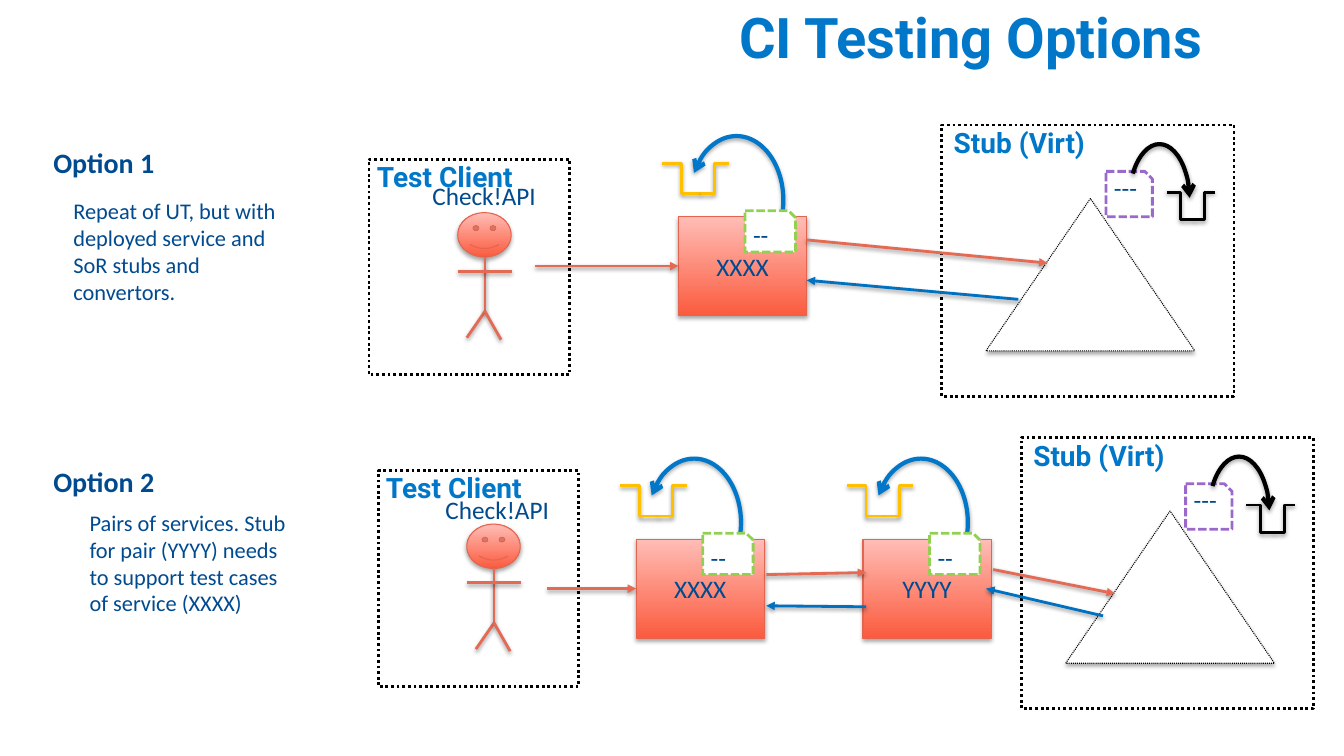
from lxml import etree
from pptx import Presentation
from pptx.dml.color import RGBColor
from pptx.enum.dml import MSO_LINE
from pptx.enum.shapes import MSO_CONNECTOR, MSO_SHAPE
from pptx.enum.text import MSO_ANCHOR, MSO_AUTO_SIZE, PP_ALIGN
from pptx.oxml.ns import qn
from pptx.util import Inches, Pt

STRAIGHT, ELBOW = MSO_CONNECTOR.STRAIGHT, MSO_CONNECTOR.ELBOW
RECTANGLE, TRIANGLE = MSO_SHAPE.RECTANGLE, MSO_SHAPE.ISOSCELES_TRIANGLE
SMILEY, SNIPPED, ARC = MSO_SHAPE.SMILEY_FACE, MSO_SHAPE.SNIP_1_RECTANGLE, MSO_SHAPE.ARC
DOTTED, DASHED = MSO_LINE.ROUND_DOT, MSO_LINE.SQUARE_DOT
LEFT, CENTER = PP_ALIGN.LEFT, PP_ALIGN.CENTER
TOP, MIDDLE = MSO_ANCHOR.TOP, MSO_ANCHOR.MIDDLE
NO_FIT, GROW = MSO_AUTO_SIZE.NONE, MSO_AUTO_SIZE.SHAPE_TO_FIT_TEXT
LEFT_SIDE = 1

BLACK, WHITE = "000000", "FFFFFF"
SKY, NAVY, BLUE = "0077C8", "004A8F", "0070C0"
CORAL, CORAL_EDGE = "E56A54", "E3654F"
CORAL_GRADIENT = ("FB5B3E", "FFBDB6")
GOLD, GREEN, PURPLE = "FFC000", "92D050", "9B69CC"

TITLE = {"name": "Roboto", "size": Pt(40), "bold": True, "color": SKY}
PANEL_NAME = {**TITLE, "size": Pt(20)}
OPTION_NAME = {"name": "Calibri", "size": Pt(20), "bold": True, "color": NAVY}
LABEL = {**OPTION_NAME, "size": Pt(18), "bold": False}
BODY = {**LABEL, "size": Pt(16)}


def rgb(value):
    return RGBColor.from_string(value)


def write(shape, text, style, align=LEFT, anchor=TOP):
    frame = shape.text_frame
    frame.vertical_anchor = anchor
    para = frame.paragraphs[0]
    para.alignment = align
    span = para.add_run()
    span.text = text
    for key, value in style.items():
        if key == "color":
            span.font.color.rgb = rgb(value)
        else:
            setattr(span.font, key, value)


def add_text(page, box, text, style, wrap=True):
    shape = page.shapes.add_textbox(*map(Inches, box))
    shape.text_frame.word_wrap = wrap
    shape.text_frame.auto_size = GROW
    write(shape, text, style)


def set_line(line, color, width, dash=None):
    line.color.rgb = rgb(color)
    line.width = Pt(width)
    if dash:
        line.dash_style = dash


def set_arrowhead(line, kind):
    etree.SubElement(line._get_or_add_ln(), qn("a:tailEnd"), type=kind)


def set_shadow(shape, opacity, distance):
    """Add an effect list; an opacity of 0 leaves it empty."""
    effects = etree.SubElement(shape._element.spPr, qn("a:effectLst"))
    if opacity:
        shadow = etree.SubElement(
            effects, qn("a:outerShdw"), blurRad=str(Pt(3.1)), dist=str(Pt(distance)),
            dir="5400000", rotWithShape="0")
        color = etree.SubElement(shadow, qn("a:srgbClr"), val=BLACK)
        etree.SubElement(color, qn("a:alpha"), val=str(opacity * 1000))


def add_shape(page, kind, box, line, fill=WHITE, shadow=False):
    shape = page.shapes.add_shape(kind, *map(Inches, box))
    if fill is None:
        shape.fill.background()
    elif fill == CORAL_GRADIENT:
        shape.fill.gradient()
        shape.fill.gradient_angle = 90
        for stop, color in zip(shape.fill.gradient_stops, fill):
            stop.color.rgb = rgb(color)
    else:
        shape.fill.solid()
        shape.fill.fore_color.rgb = rgb(fill)
    set_line(shape.line, *line)
    set_shadow(shape, 35 if shadow else 0, 1.8)
    return shape


def add_line(page, start, end, color, kind=STRAIGHT, arrow=False):
    line = page.shapes.add_connector(kind, *map(Inches, start + end))
    set_line(line.line, color, 2)
    if arrow:
        set_arrowhead(line.line, "triangle")
    set_shadow(line, 38, 1.6)
    return line


def add_loop(page, box, color, angles, flip=False):
    """Curved arrow from a message to its pulse."""
    loop = add_shape(page, ARC, box, (color, 3), fill=None, shadow=True)
    for index, angle in enumerate(angles):
        loop.adjustments[index] = angle
    if flip:
        loop._element.spPr.find(qn("a:xfrm")).set("flipH", "1")
    set_arrowhead(loop.line, "arrow")


def add_pulse(page, left, top, steps, height, color):
    """Two elbows that meet at the foot of the pulse."""
    left_width, right_width = steps
    foot = (left + left_width, top + height)
    add_line(page, (left, top), foot, color, ELBOW)
    add_line(page, (foot[0] + right_width, top), foot, color, ELBOW)


def add_title(page, box, text):
    title = page.shapes.title
    for key, value in zip(("left", "top", "width", "height"), box):
        setattr(title, key, Inches(value))
    title.text_frame.auto_size = NO_FIT
    write(title, text, TITLE)


def add_option(page, left, top, name, body_box, body):
    add_text(page, (left, top, 1.21, 0.44), name, OPTION_NAME, wrap=False)
    add_text(page, body_box, body, BODY)


def add_stub(page, left, top):
    add_shape(page, RECTANGLE, (left, top, 2.9, 2.69), (BLACK, 2, DOTTED))
    add_shape(page, TRIANGLE, (left + 0.44, top + 0.73, 2.07, 1.51),
              (BLACK, 0.75, DOTTED), shadow=True)
    add_text(page, (left + 0.02, top - 0.04, 1.58, 0.44), "Stub (Virt)", PANEL_NAME)
    add_pulse(page, left + 2.23, top + 0.67, (0.28, 0.2), 0.27, BLACK)
    add_shape(page, SNIPPED, (left + 1.63, top + 0.46, 0.46, 0.45), (PURPLE, 2, DASHED))
    add_text(page, (left + 1.61, top + 0.42, 0.43, 0.4), "---", LABEL)
    add_loop(page, (left + 1.86, top + 0.19, 0.6, 1.12), BLACK, (135.26, 212.95))


def add_client(page, left, top, tool_offset):
    add_shape(page, RECTANGLE, (left, top, 1.99, 2.14), (BLACK, 2, DOTTED))
    add_shape(page, SMILEY, (left + 0.88, top + 0.53, 0.53, 0.44),
              (CORAL_EDGE, 0.75), CORAL_GRADIENT, shadow=True)
    across, down = tool_offset
    add_text(page, (left + across, top + down, 1.25, 0.4), "Check!API", LABEL, wrap=False)
    # Body, arms and legs
    neck, hip = (left + 1.15, top + 0.97), (left + 1.15, top + 1.51)
    add_line(page, neck, hip, CORAL)
    add_line(page, (left + 0.88, top + 1.11), (left + 1.42, top + 1.11), CORAL)
    for foot in ((left + 0.97, top + 1.77), (left + 1.31, top + 1.79)):
        add_line(page, hip, foot, CORAL)
    add_text(page, (left - 0.02, top - 0.05, 1.58, 0.44), "Test Client", PANEL_NAME)


def add_service(page, left, top, name):
    service = add_shape(page, RECTANGLE, (left, top, 1.27, 0.98),
                        (CORAL_EDGE, 0.75), CORAL_GRADIENT, shadow=True)
    write(service, name, LABEL, CENTER, MIDDLE)
    add_loop(page, (left + 0.11, top - 0.8, 0.93, 1.27), SKY, (92.77, 196.42), flip=True)
    add_pulse(page, left - 0.16, top - 0.53, (0.38, 0.28), 0.3, GOLD)
    add_shape(page, SNIPPED, (left + 0.66, top - 0.06, 0.5, 0.41), (GREEN, 2, DASHED))
    add_text(page, (left + 0.64, top - 0.02, 0.45, 0.4), "--", LABEL)
    return service


def add_call(page, start, service):
    """Arrow from the client to the middle of a service's left side."""
    call = add_line(page, start, start, CORAL, arrow=True)
    call.end_connect(service, LEFT_SIDE)


def add_exchange(page, request, response):
    for ends, color in ((request, CORAL), (response, BLUE)):
        add_line(page, *ends, color, arrow=True)


def main():
    deck = Presentation()
    deck.slide_width, deck.slide_height = Inches(13.33), Inches(7.5)
    page = deck.slides.add_slide(deck.slide_layouts[5])
    add_title(page, (7.23, -0.03, 6.1, 0.77), "CI Testing Options")

    # Option 1: one service against the stub
    add_option(page, 0.43, 1.39, "Option 1", (0.63, 1.91, 2.21, 1.18),
               "Repeat of UT, but with deployed service and SoR stubs and convertors.")
    add_stub(page, 9.34, 1.24)
    add_client(page, 3.66, 1.58, (0.53, 0.16))
    service = add_service(page, 6.73, 2.15, "XXXX")
    add_call(page, (5.31, 2.64), service)
    add_exchange(page, ((8, 2.38), (10.39, 2.61)), ((10.1, 2.97), (8, 2.78)))

    # Option 2: a pair of services against the stub
    add_option(page, 0.43, 4.56, "Option 2", (0.79, 5, 2.21, 1.18),
               "Pairs of services. Stub for pair (YYYY) needs to support test cases "
               "of service (XXXX)")
    add_stub(page, 10.13, 4.34)
    add_client(page, 3.75, 4.67, (0.57, 0.19))
    first = add_service(page, 6.31, 5.35, "XXXX")
    add_service(page, 8.56, 5.35, "YYYY")
    add_call(page, (5.43, 5.84), first)
    add_exchange(page, ((7.6, 5.7), (8.59, 5.68)), ((8.59, 6.02), (7.6, 6.01)))
    add_exchange(page, ((9.85, 5.65), (11.06, 5.89)), ((10.94, 6.11), (9.78, 5.84)))

    deck.save("out.pptx")


if __name__ == "__main__":
    main()
